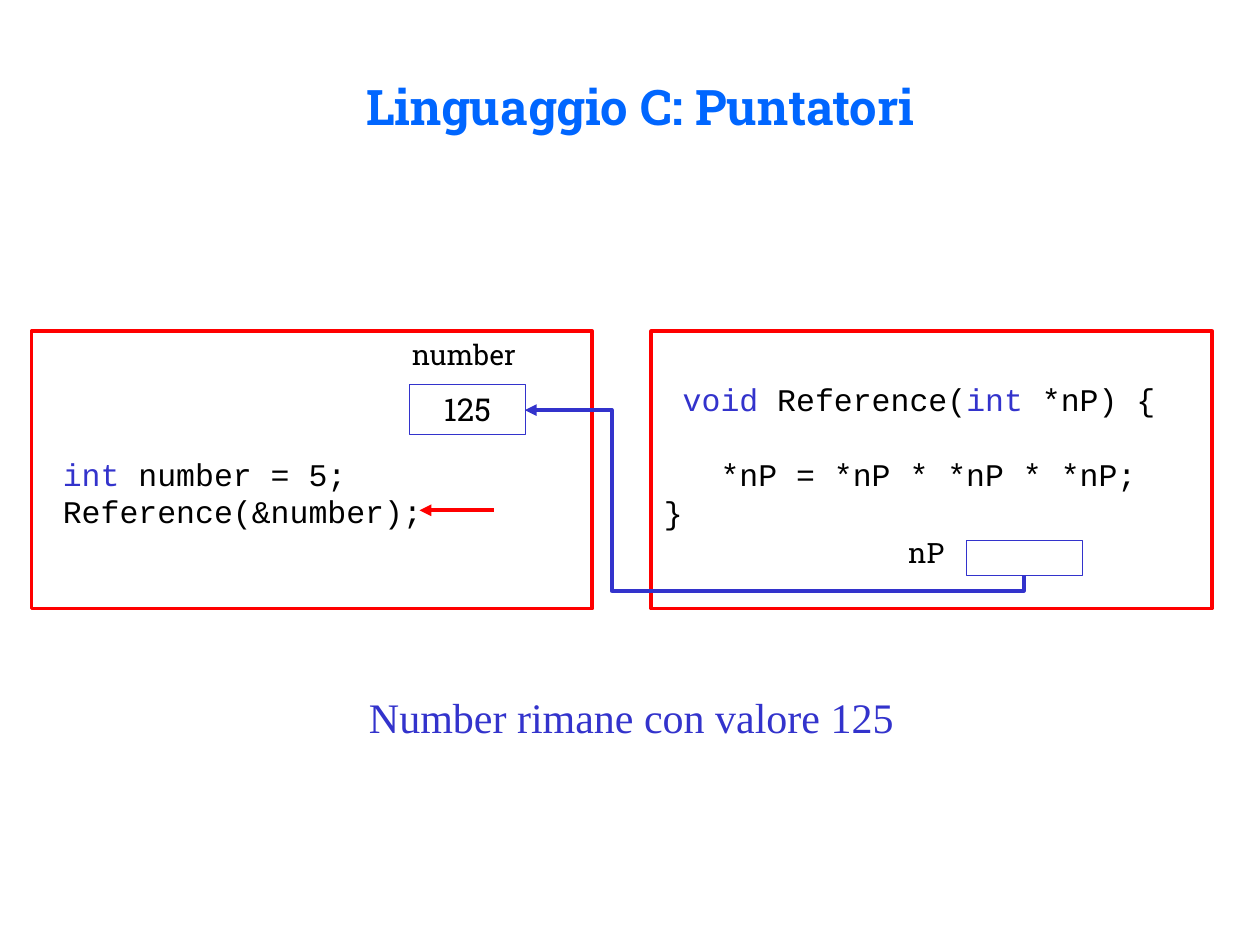
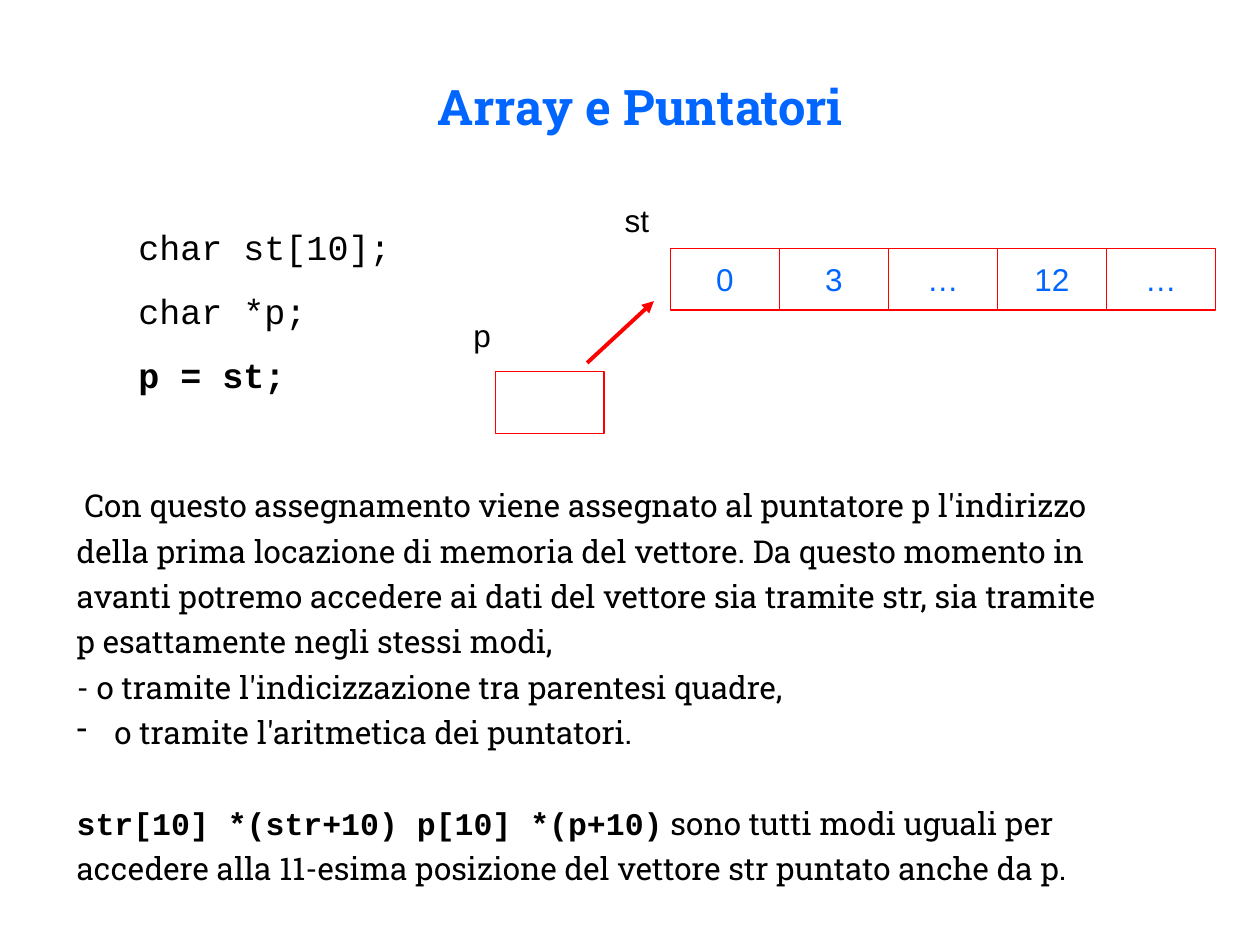
import pptx
import pptx.util
import pptx.dml.color
import pptx.enum.shapes
import pptx.enum.text
import pptx.oxml
import pptx.oxml.ns

Inches = pptx.util.Inches
Pt = pptx.util.Pt
RGBColor = pptx.dml.color.RGBColor
ALIGN = pptx.enum.text.PP_ALIGN
ANCHOR = pptx.enum.text.MSO_ANCHOR
CONNECTOR = pptx.enum.shapes.MSO_CONNECTOR
qn = pptx.oxml.ns.qn

BLACK = RGBColor(0x00, 0x00, 0x00)
RED = RGBColor(0xFF, 0x00, 0x00)
INDIGO = RGBColor(0x33, 0x33, 0xCC)
BLUE = RGBColor(0x00, 0x66, 0xFF)

SLAB, MONO, SANS, SERIF = "Roboto Slab", "Courier New", "Arial", "Times New Roman"


def add_child(parent, tag, **attrs):
    child = pptx.oxml.parse_xml(f'<{tag} {pptx.oxml.ns.nsdecls("a")}/>')
    for name, value in attrs.items():
        child.set(name, str(value))
    parent.append(child)
    return child


def add_run(p, text, font=SLAB, size=18, color=BLACK, bold=False):
    r = p.add_run()
    r.text = text
    r.font.name = font
    r.font.size = Pt(size)
    r.font.color.rgb = color
    r.font.bold = bold


class Deck:
    """Holds the presentation, its style and the current slide."""

    def __init__(self):
        self.prs = pptx.Presentation()
        self.prs.slide_width = Inches(10)
        self.prs.slide_height = Inches(7.5)
        self.slide = None

    def new_slide(self, title):
        self.slide = self.prs.slides.add_slide(self.prs.slide_layouts[6])
        self.label(title, 0.83, 0.6, 8.5, 0.48, align=ALIGN.CENTER,
                   anchor=ANCHOR.MIDDLE, size=28, color=BLUE, bold=True)

    def fill_text(self, sp, lines, align=ALIGN.LEFT, anchor=ANCHOR.TOP,
                  top=0.05, spacing=None, wrap=True, **fmt):
        """Each line is a dict: runs, and optionally indent, before, bullet."""
        tf = sp.text_frame
        tf.word_wrap = wrap
        tf.vertical_anchor = anchor
        tf.margin_top = Inches(top)
        for i, line in enumerate(lines):
            p = tf.paragraphs[0] if i == 0 else tf.add_paragraph()
            p.alignment = align
            if spacing:
                p.line_spacing = Pt(spacing)
            p.space_before = Pt(line.get("before", 0))
            indent = Inches(line.get("indent", 0))
            pPr = p._p.get_or_add_pPr()
            pPr.set("marL", str(indent))
            if "bullet" in line:
                pPr.set("indent", str(-indent))
                add_child(pPr, "a:buChar", char=line["bullet"])
            for text, changes in line["runs"]:
                add_run(p, text, **{**fmt, **changes})

    def text(self, lines, x, y, w, h, **fmt):
        sp = self.slide.shapes.add_textbox(Inches(x), Inches(y), Inches(w), Inches(h))
        self.fill_text(sp, lines, **fmt)

    def label(self, text, x, y, w, h, **fmt):
        self.text([line(text)], x, y, w, h, **fmt)

    def box(self, x, y, w, h, edge, edge_width=0.75, lines=(), **fmt):
        sp = self.slide.shapes.add_shape(
            pptx.enum.shapes.MSO_SHAPE.RECTANGLE, Inches(x), Inches(y), Inches(w), Inches(h))
        sp.shadow.inherit = False
        sp.fill.background()
        sp.line.color.rgb = edge
        sp.line.width = Pt(edge_width)
        self.fill_text(sp, lines, **fmt)

    def arrow(self, x1, y1, x2, y2, color, kind=CONNECTOR.STRAIGHT):
        sp = self.slide.shapes.add_connector(
            kind, Inches(x1), Inches(y1), Inches(x2), Inches(y2))
        sp.line.color.rgb = color
        sp.line.width = Pt(2.25)
        spPr = sp._element.spPr
        add_child(spPr.find(qn("a:ln")), "a:tailEnd", type="triangle")
        add_child(spPr, "a:effectLst")
        return sp

    def bent_arrow(self, x, y, w, h, color, adjustments):
        """Four-part elbow, turned to leave downwards and arrive leftwards."""
        sp = self.arrow(x, y, x + w, y + h, color, CONNECTOR.ELBOW)
        spPr = sp._element.spPr
        xfrm = spPr.find(qn("a:xfrm"))
        xfrm.set("rot", "16200000")
        xfrm.set("flipV", "1")
        geom = spPr.find(qn("a:prstGeom"))
        geom.set("prst", "bentConnector4")
        guides = geom.find(qn("a:avLst"))
        for i, value in enumerate(adjustments, 1):
            add_child(guides, "a:gd", name=f"adj{i}", fmla=f"val {value}")


def line(*runs, **layout):
    """Runs are plain strings or (string, format changes) pairs."""
    return {"runs": [(r, {}) if isinstance(r, str) else r for r in runs], **layout}


def keyword(text):
    return text, {"color": INDIGO}


def build_reference_slide(deck):
    deck.new_slide("Linguaggio C: Puntatori")

    # Caller and function code
    caller = [
        line(keyword("int"), " number = 5;", indent=0.15),
        line("Reference(&number);", indent=0.15),
    ]
    function = [
        line(keyword("void"), " Reference(", keyword("int"), " *nP) {", indent=0.15),
        line("*nP = *nP * *nP * *nP;", indent=0.45, before=21.5),
        line("}"),
    ]
    for x, code, top in ((0.25, caller, 0.98), (5.17, function, 0.39)):
        deck.box(x, 2.63, 4.45, 2.2, RED, 2.25, code, top=top, spacing=21.5, font=MONO)

    # Variables in memory
    deck.box(3.25, 3.05, 0.92, 0.4, INDIGO, lines=[line("125")], align=ALIGN.CENTER)
    deck.label("number", 3.17, 2.63, 1.33, 0.37, size=16)
    deck.box(7.67, 4.29, 0.92, 0.28, INDIGO)
    deck.label("nP", 7.11, 4.2, 0.5, 0.37, size=16)

    # Current instruction and pointer
    deck.arrow(3.92, 4.05, 3.33, 4.05, RED)
    deck.bent_arrow(5.49, 1.93, 1.31, 3.96, INDIGO, (-9400, 82600))

    deck.label("Number rimane con valore 125", 2.83, 5.44, 4.5, 0.5,
               font=SERIF, size=24, color=INDIGO)


def build_array_slide(deck):
    deck.new_slide("Array e Puntatori")

    # Declarations
    declarations = [
        line("char st[10];", indent=0.17),
        line("char *p;", indent=0.17, before=12.5),
        line(("p = st;", {"bold": True}), indent=0.17, before=12.5),
    ]
    deck.text(declarations, 0.83, 1.74, 2.8, 1.45, spacing=24.1, font=MONO, size=20)

    # Array cells and the pointer to the first one
    cell_w, cell_h = 0.865, 0.49
    for i, value in enumerate(("0", "3", "…", "12", "…")):
        deck.box(5.32 + i * cell_w, 1.97, cell_w, cell_h, RED, lines=[line(value)],
                 align=ALIGN.CENTER, anchor=ANCHOR.MIDDLE, wrap=False,
                 font=SANS, color=BLUE)
    deck.box(3.93, 2.95, cell_w, cell_h, RED)
    for name, x, y in (("st", 4.86, 1.55), ("p", 3.66, 2.46)):
        deck.label(name, x, y, 0.4, 0.4, font=SANS)
    deck.arrow(4.66, 2.88, 5.19, 2.39, RED)

    # Explanation
    explanation = [
        line(" Con questo assegnamento viene assegnato al puntatore p l'indirizzo"),
        line("della prima locazione di memoria del vettore. Da questo momento in"),
        line("avanti potremo accedere ai dati del vettore sia tramite str, sia tramite"),
        line("p esattamente negli stessi modi,"),
        line("- o tramite l'indicizzazione tra parentesi quadre,"),
        line("o tramite l'aritmetica dei puntatori.", indent=0.3, bullet="-"),
        line(("str[10] *(str+10) p[10] *(p+10)", {"font": MONO, "bold": True}),
             " sono tutti modi uguali per", before=25.9),
        line("accedere alla 11-esima posizione del vettore str puntato anche da p."),
    ]
    deck.text(explanation, 0.51, 3.75, 9.29, 3.34, spacing=25.9)


def main():
    deck = Deck()
    build_reference_slide(deck)
    build_array_slide(deck)
    deck.prs.save("out.pptx")


if __name__ == "__main__":
    main()
